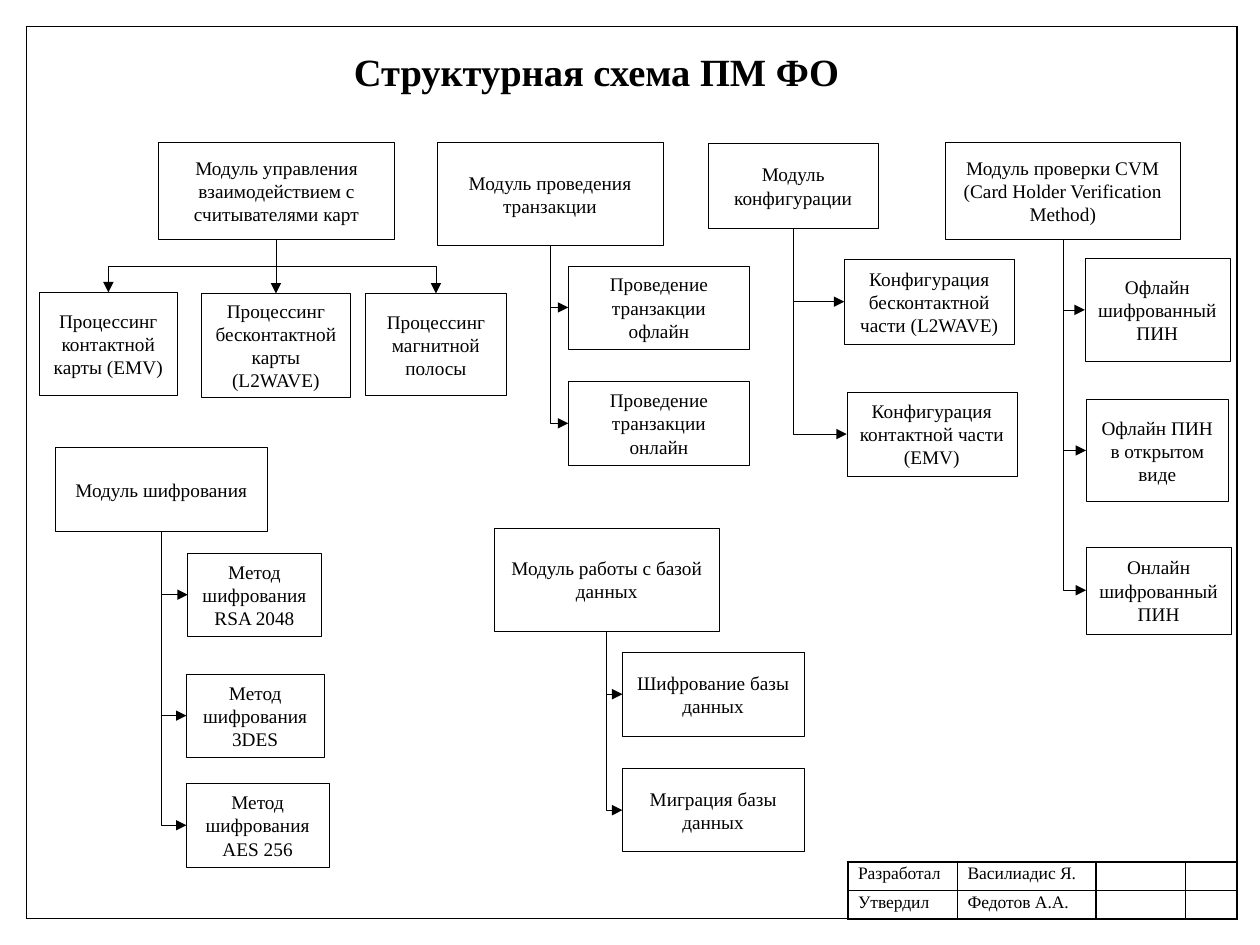
from lxml import etree
from pptx import Presentation
from pptx import util as u
from pptx.dml.color import RGBColor
from pptx.enum import shapes, text
from pptx.oxml.ns import qn

COLORS = {"ink": "000000", "paper": "FFFFFF"}
FONT = "Times New Roman"
BOTTOM, TOP, LEFT = 2, 0, 1  # connection sites of a process box

# Each module: box, label, whether its links fan out from below,
# and its parts as (box offset from the module, label).
MODULES = [
    ((1.26, 1.13, 1.87, 0.77), "Модуль управления взаимодействием с считывателями карт", True, [
        ((-0.95, 1.19, 1.1, 0.82), "Процессинг контактной карты (EMV)"),
        ((0.34, 1.2, 1.18, 0.82), "Процессинг бесконтактной карты\n(L2WAVE)"),
        ((1.64, 1.2, 1.12, 0.81), "Процессинг магнитной полосы")]),
    ((3.47, 1.13, 1.79, 0.82), "Модуль проведения транзакции", False, [
        ((1.04, 0.98, 1.44, 0.66), "Проведение транзакции офлайн"),
        ((1.04, 1.9, 1.44, 0.66), "Проведение транзакции онлайн")]),
    ((5.62, 1.14, 1.35, 0.67), "Модуль конфигурации", False, [
        ((1.08, 0.92, 1.35, 0.67), "Конфигурация бесконтактной части (L2WAVE)"),
        ((1.1, 1.97, 1.35, 0.67), "Конфигурация контактной части (EMV)")]),
    ((7.5, 1.13, 1.87, 0.77), "Модуль проверки CVM (Card Holder Verification Method)", False, [
        ((1.11, 0.92, 1.15, 0.82), "Офлайн шифрованный ПИН"),
        ((1.12, 2.04, 1.13, 0.81), "Офлайн ПИН в открытом виде"),
        ((1.12, 3.21, 1.15, 0.69), "Онлайн шифрованный ПИН")]),
    ((0.44, 3.55, 1.68, 0.67), "Модуль шифрования", False, [
        ((1.05, 0.84, 1.06, 0.66), "Метод шифрования\nRSA 2048"),
        ((1.04, 1.8, 1.09, 0.66), "Метод шифрования\n3DES"),
        ((1.04, 2.67, 1.13, 0.66), "Метод шифрования\nAES 256")]),
    ((3.92, 4.19, 1.79, 0.82), "Модуль работы с базой данных", False, [
        ((1.02, 0.99, 1.44, 0.66), "Шифрование базы данных"),
        ((1.02, 1.91, 1.44, 0.66), "Миграция базы данных")]),
]
SIGNATURES = [("Разработал", "Василиадис Я.", "", ""),
              ("Утвердил", "Федотов А.А.", "", "")]


def rgb(name):
    """Return a named colour."""
    return RGBColor.from_string(COLORS[name])


def style_text(frame, size, align, bold=False):
    """Format every paragraph of a text frame."""
    for paragraph in frame.paragraphs:
        paragraph.alignment = align
        paragraph.font.name = FONT
        paragraph.font.size = u.Pt(size)
        paragraph.font.bold = bold
        paragraph.font.color.rgb = rgb("ink")


def style_line(connector, width):
    """Give a connector a plain black line."""
    connector.line.color.rgb = rgb("ink")
    connector.line.width = u.Pt(width)
    etree.SubElement(connector._element.spPr, qn("a:effectLst"))


def add_title(slide, box, label):
    """Move and format the title placeholder."""
    title = slide.shapes.title
    title.left, title.top, title.width, title.height = map(u.Inches, box)
    title.fill.solid()
    title.fill.fore_color.rgb = rgb("paper")
    title.line.color.rgb = rgb("paper")
    title.line.width = u.Pt(2)
    frame = title.text_frame
    frame.text = label
    frame.vertical_anchor = text.MSO_ANCHOR.TOP
    frame.auto_size = text.MSO_AUTO_SIZE.SHAPE_TO_FIT_TEXT
    style_text(frame, 22, text.PP_ALIGN.CENTER, True)


def add_process(slide, box, label):
    """Add one labelled process box."""
    process = slide.shapes.add_shape(
        shapes.MSO_SHAPE.FLOWCHART_PROCESS, *map(u.Inches, box))
    process.shadow.inherit = False
    process.fill.solid()
    process.fill.fore_color.rgb = rgb("paper")
    process.line.color.rgb = rgb("ink")
    process.line.width = u.Pt(0.25)
    frame = process.text_frame
    frame.word_wrap = True
    frame.vertical_anchor = text.MSO_ANCHOR.MIDDLE
    frame.text = label
    style_text(frame, 11, text.PP_ALIGN.CENTER)
    return process


def add_link(slide, module, part, fan):
    """Lead a bent arrow from the bottom of a module to the top or left of a part."""
    x1, y1 = module.left + module.width // 2, module.top + module.height
    x2, y2 = ((part.left + part.width // 2, part.top) if fan
              else (part.left, part.top + part.height // 2))
    link = slide.shapes.add_connector(shapes.MSO_CONNECTOR.ELBOW, x1, y1, x2, y2)
    link.begin_connect(module, BOTTOM)
    link.end_connect(part, TOP if fan else LEFT)

    # The route starts downwards, so its frame is turned by a quarter.
    run, drop = abs(x2 - x1), y2 - y1
    link.left, link.top = (x1 + x2 - drop) // 2, (y1 + y2 - run) // 2
    link.width, link.height = drop, run
    properties = link._element.spPr
    frame = properties.find(qn("a:xfrm"))
    for flip in ("flipH", "flipV"):
        frame.attrib.pop(flip, None)
    if x2 > x1:
        frame.set("rot", "16200000")
        frame.set("flipH", "1")
    else:
        frame.set("rot", "5400000")
    if not fan:
        properties.find(qn("a:prstGeom")).set("prst", "bentConnector2")

    style_line(link, 0.25)
    etree.SubElement(properties.find(qn("a:ln")), qn("a:tailEnd"), type="triangle")


def add_module(slide, box, label, fan, parts):
    """Add a module with its parts, placed from the module's corner."""
    left, top = box[:2]
    module = add_process(slide, box, label)
    for (dx, dy, width, height), part_label in parts:
        part = add_process(slide, (left + dx, top + dy, width, height), part_label)
        add_link(slide, module, part, fan)


def add_border(slide, box):
    """Draw the four lines of the sheet border."""
    left, top, width, height = box
    right, bottom = left + width, top + height
    corners = [(left, top), (right, top), (right, bottom), (left, bottom)]
    for start, end in zip(corners, corners[1:] + corners[:1]):
        edge = slide.shapes.add_connector(
            shapes.MSO_CONNECTOR.STRAIGHT, *map(u.Inches, start + end))
        style_line(edge, 1)


def format_cell(cell, label):
    """Write a signature cell with black borders."""
    cell.margin_left = cell.margin_right = u.Inches(0.08)
    cell.margin_top, cell.margin_bottom = u.Inches(0.02), u.Inches(0.04)
    cell.text = label
    style_text(cell.text_frame, 10, text.PP_ALIGN.LEFT)
    if not label:
        cell.text_frame.paragraphs[0]._p.get_or_add_endParaRPr().set("sz", "1000")
    properties = cell._tc.get_or_add_tcPr()
    for side in ("lnL", "lnR", "lnT", "lnB"):
        border = etree.SubElement(properties, qn("a:" + side), w=str(u.Pt(1)))
        fill = etree.SubElement(border, qn("a:solidFill"))
        etree.SubElement(fill, qn("a:srgbClr"), val=COLORS["ink"])
    cell.fill.solid()
    cell.fill.fore_color.rgb = rgb("paper")


def add_signatures(slide, box):
    """Add the signature table."""
    table = slide.shapes.add_table(2, 4, *map(u.Inches, box)).table
    table.first_row = table.horz_banding = False
    for column, width in zip(table.columns, (0.87, 1.1, 0.71, 0.41)):
        column.width = u.Inches(width)
    for row, labels in zip(table.rows, SIGNATURES):
        for cell, label in zip(row.cells, labels):
            format_cell(cell, label)


def build():
    """Build the structure diagram."""
    deck = Presentation()
    deck.slide_width, deck.slide_height = u.Inches(10), u.Inches(7.5)
    slide = deck.slides.add_slide(deck.slide_layouts[5])
    add_title(slide, (2.4, 0.33, 4.67, 0.47), "Структурная схема ПМ ФО")
    for module in MODULES:
        add_module(slide, *module)
    add_signatures(slide, (6.73, 6.84, 3.09, 0.45))
    add_border(slide, (0.21, 0.21, 9.61, 7.08))
    deck.save("out.pptx")


build()
